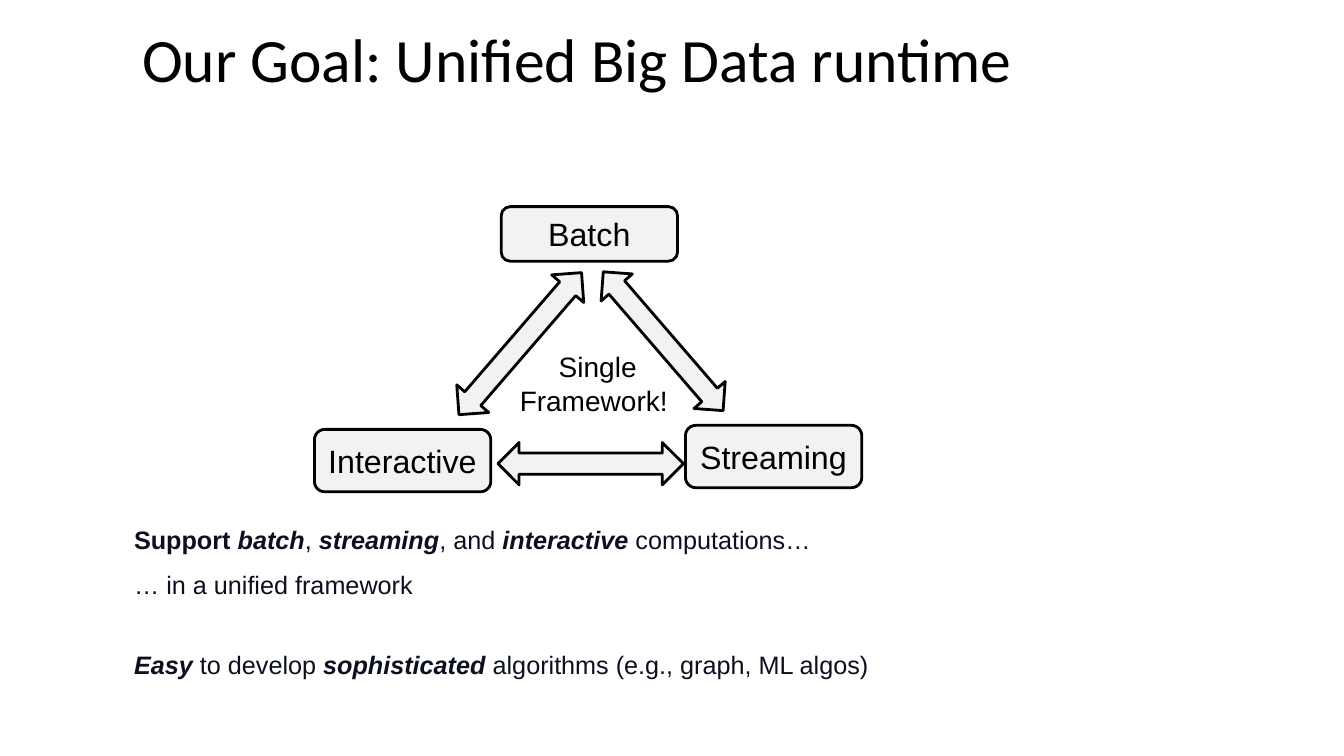
from collections import namedtuple

from pptx import Presentation
from pptx.dml.color import RGBColor
from pptx.enum.shapes import MSO_SHAPE
from pptx.enum.text import MSO_ANCHOR, MSO_AUTO_SIZE, PP_ALIGN
from pptx.util import Pt

BLACK = RGBColor(0x00, 0x00, 0x00)
INK = RGBColor(0x0C, 0x0F, 0x20)
LIGHT_GRAY = RGBColor(0xF2, 0xF2, 0xF2)

Box = namedtuple("Box", "left top width height")

TITLE_BOX = Box(94.3, 0, 746, 90)
DIAGRAM_BOX = Box(224.6, 147.6, 391, 204)
SUMMARY_BOX = Box(82, 375.8, 690, 140.4)

# Places inside the diagram box
WORKLOADS = [
    ("Batch", Box(133.4, 0, 126, 39)),
    ("Interactive", Box(0, 159.1, 126, 44.6)),
    ("Streaming", Box(265, 156.2, 126, 44.6)),
]
ARROWS = [
    (Box(131.1, 168.5, 132.5, 30.2), 0),
    (Box(80, 82.8, 134, 30.2), -49.2),
    (Box(183.6, 81.4, 131, 29.5), 49.2),
]
FRAMEWORK_BOX = Box(121.7, 100.8, 161.3, 75.6)

# Space before each paragraph, then its runs as (text, bold, italic)
SUMMARY = [
    (0, [("Support ", True, False), ("batch", True, True), (", ", False, False),
         ("streaming", True, True), (", and ", False, False),
         ("interactive ", True, True), ("computations…", False, False)]),
    (8, [("… in a unified framework", False, False)]),
    (34, [("Easy", True, True), (" to develop ", False, False),
          ("sophisticated", True, True),
          (" algorithms (e.g., graph, ML algos)", False, False)]),
]


def within(outer, inner):
    """Turn a box measured from outer's corner into slide lengths."""
    return [Pt(outer.left + inner.left), Pt(outer.top + inner.top),
            Pt(inner.width), Pt(inner.height)]


def style_font(paragraph, name, size, color):
    paragraph.font.name = name
    paragraph.font.size = Pt(size)
    paragraph.font.color.rgb = color


def set_tight_margins(frame):
    frame.word_wrap = True
    frame.margin_left = frame.margin_right = Pt(3)
    frame.margin_top = frame.margin_bottom = Pt(1.5)


def add_title(slide, box):
    title = slide.shapes.title
    title.left, title.top, title.width, title.height = map(Pt, box)
    frame = title.text_frame
    frame.text = "Our Goal: Unified Big Data runtime"
    frame.auto_size = MSO_AUTO_SIZE.NONE
    frame.vertical_anchor = MSO_ANCHOR.MIDDLE
    heading = frame.paragraphs[0]
    heading.alignment = PP_ALIGN.LEFT
    heading.line_spacing = 0.9
    style_font(heading, "Calibri", 44, BLACK)


def add_outlined_shape(slide, preset, place):
    shape = slide.shapes.add_shape(preset, *place)
    shape.shadow.inherit = False
    shape.fill.solid()
    shape.fill.fore_color.rgb = LIGHT_GRAY
    shape.line.color.rgb = BLACK
    shape.line.width = Pt(2)
    return shape


def add_diagram(slide, box):
    """Draw the three workloads, the arrows joining them and the centre label."""
    for name, place in WORKLOADS:
        workload = add_outlined_shape(
            slide, MSO_SHAPE.ROUNDED_RECTANGLE, within(box, place))
        frame = workload.text_frame
        set_tight_margins(frame)
        frame.vertical_anchor = MSO_ANCHOR.MIDDLE
        frame.text = name
        frame.paragraphs[0].alignment = PP_ALIGN.CENTER
        style_font(frame.paragraphs[0], "Arial", 23, BLACK)

    for place, angle in ARROWS:
        arrow = add_outlined_shape(
            slide, MSO_SHAPE.LEFT_RIGHT_ARROW, within(box, place))
        arrow.rotation = angle

    framework = slide.shapes.add_textbox(*within(box, FRAMEWORK_BOX)).text_frame
    set_tight_margins(framework)
    framework.text = "Single\nFramework! "
    for line in framework.paragraphs:
        line.alignment = PP_ALIGN.CENTER
        style_font(line, "Arial", 20, BLACK)


def add_summary(slide, box):
    frame = slide.shapes.add_textbox(*map(Pt, box)).text_frame
    set_tight_margins(frame)
    frame.margin_left = Pt(13.8)
    for index, (space_before, runs) in enumerate(SUMMARY):
        paragraph = frame.add_paragraph() if index else frame.paragraphs[0]
        paragraph.line_spacing = 0.9
        paragraph.space_before = Pt(space_before)
        paragraph.space_after = Pt(4)
        style_font(paragraph, "Arial", 18, INK)
        for text, bold, italic in runs:
            run = paragraph.add_run()
            run.text = text
            run.font.bold = bold
            run.font.italic = italic


def main():
    deck = Presentation()
    deck.slide_width, deck.slide_height = Pt(960), Pt(540)
    slide = deck.slides.add_slide(deck.slide_layouts.get_by_name("Title Only"))
    add_title(slide, TITLE_BOX)
    add_diagram(slide, DIAGRAM_BOX)
    add_summary(slide, SUMMARY_BOX)
    deck.save("out.pptx")


if __name__ == "__main__":
    main()
